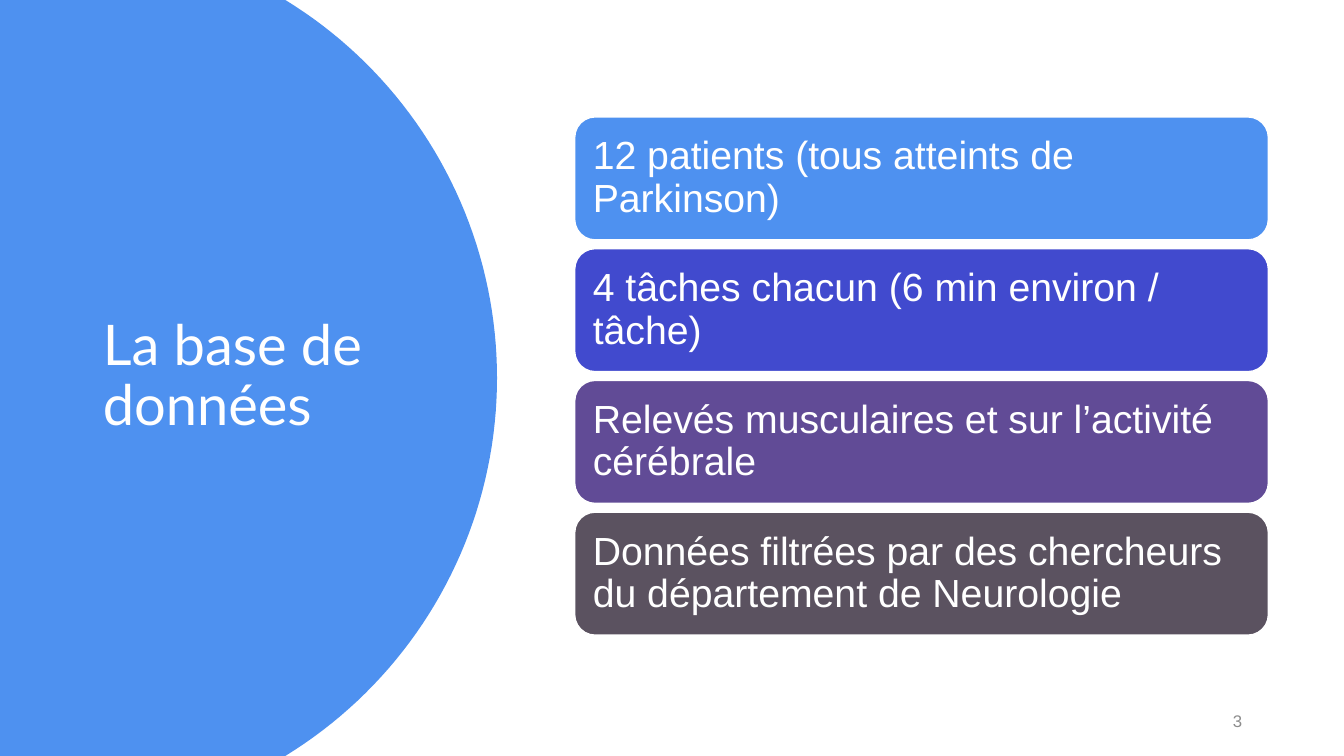
from dataclasses import dataclass
from math import asin, cos, sin

from pptx import Presentation
from pptx.dml.color import RGBColor
from pptx.enum.shapes import MSO_SHAPE
from pptx.enum.text import MSO_ANCHOR, MSO_AUTO_SIZE, PP_ALIGN
from pptx.util import Inches, Pt


@dataclass(frozen=True)
class Theme:
    """Colours, fonts and type sizes of the slide."""
    white: str = "FFFFFF"
    blue: str = "4E91F0"
    indigo: str = "414ACE"
    violet: str = "614B96"
    slate: str = "5B5260"
    grey: str = "8C8C8C"
    title_font: str = "Lato"
    body_font: str = "Arial"
    title_size: int = 40
    card_size: int = 28
    number_size: int = 12


THEME = Theme()
SLIDE_WIDTH, SLIDE_HEIGHT = 13.33, 7.5
DISC_RIGHT, DISC_TOP_EDGE = 4.93, 2.83
ARC_STEPS = 80
CARD_LEFT, CARD_TOP, CARD_WIDTH, CARD_HEIGHT = 5.7, 1.16, 6.88, 1.22
CARD_PITCH = 1.307
CARDS = (
    ("12 patients (tous atteints de Parkinson)", THEME.blue),
    ("4 tâches chacun (6 min environ / tâche)", THEME.indigo),
    ("Relevés musculaires et sur l’activité cérébrale", THEME.violet),
    ("Données filtrées par des chercheurs du département de Neurologie", THEME.slate),
)


def apply_format(target, values):
    """Set every attribute named in values on target."""
    for name, value in values.items():
        setattr(target, name, value)


def paint(shape, colour):
    """Give a shape a plain fill without shadow."""
    shape.shadow.inherit = False
    shape.fill.solid()
    shape.fill.fore_color.rgb = RGBColor.from_string(colour)


def write(shape, wording, font, size, colour, inset=None, align=PP_ALIGN.LEFT, spacing=0.9):
    """Write one vertically centred paragraph into a shape."""
    frame = shape.text_frame
    frame.text = wording
    apply_format(frame, {
        "word_wrap": True,
        "auto_size": MSO_AUTO_SIZE.NONE,
        "vertical_anchor": MSO_ANCHOR.MIDDLE,
    })
    if inset is not None:
        sides = ("left", "top", "right", "bottom")
        apply_format(frame, {f"margin_{side}": Inches(inset) for side in sides})
    paragraph = frame.paragraphs[0]
    apply_format(paragraph, {"alignment": align, "line_spacing": spacing, "space_before": Pt(0)})
    apply_format(paragraph.font, {"name": font, "size": Pt(size)})
    paragraph.font.color.rgb = RGBColor.from_string(colour)


def add_disc(slide):
    """Draw the blue disc cut off by the left, top and bottom slide edges."""
    half = SLIDE_HEIGHT / 2
    depth = DISC_RIGHT - DISC_TOP_EDGE
    radius = (depth ** 2 + half ** 2) / (2 * depth)
    centre = DISC_RIGHT - radius
    sweep = asin(half / radius)
    angles = [sweep * (2 * step / ARC_STEPS - 1) for step in range(ARC_STEPS + 1)]
    arc = [(Inches(centre + radius * cos(angle)), Inches(half + radius * sin(angle)))
           for angle in angles]
    outline = slide.shapes.build_freeform(0, 0)
    outline.add_line_segments(arc + [(0, Inches(SLIDE_HEIGHT))], close=True)
    disc = outline.convert_to_shape()
    paint(disc, THEME.blue)
    disc.line.fill.background()


def add_title(slide, wording):
    """Place the title over the disc."""
    title = slide.shapes.title
    apply_format(title, {
        "left": Inches(0.92), "top": Inches(0.7),
        "width": Inches(3.23), "height": Inches(6.09),
    })
    write(title, wording, THEME.title_font, THEME.title_size, THEME.white)


def add_card(slide, row, wording, colour):
    """Add one rounded card in the given row of the stack."""
    card = slide.shapes.add_shape(
        MSO_SHAPE.ROUNDED_RECTANGLE,
        Inches(CARD_LEFT), Inches(CARD_TOP + row * CARD_PITCH),
        Inches(CARD_WIDTH), Inches(CARD_HEIGHT))
    paint(card, colour)
    card.line.color.rgb = RGBColor.from_string(THEME.white)
    card.line.width = Pt(1)
    write(card, wording, THEME.body_font, THEME.card_size, THEME.white, inset=0.12)


def add_slide_number(slide, number):
    """Add the slide number at the lower right."""
    box = slide.shapes.add_textbox(Inches(9.42), Inches(6.95), Inches(3), Inches(0.4))
    write(box, number, THEME.body_font, THEME.number_size, THEME.grey,
          align=PP_ALIGN.RIGHT, spacing=1.0)


def main():
    """Build and save the slide."""
    deck = Presentation()
    apply_format(deck, {
        "slide_width": Inches(SLIDE_WIDTH), "slide_height": Inches(SLIDE_HEIGHT),
    })
    slide = deck.slides.add_slide(deck.slide_layouts.get_by_name("Title Only"))
    add_disc(slide)
    title_element = slide.shapes.title.element
    title_element.getparent().append(title_element)
    add_title(slide, "La base de données")
    for row, (wording, colour) in enumerate(CARDS):
        add_card(slide, row, wording, colour)
    add_slide_number(slide, "3")
    deck.save("out.pptx")


if __name__ == "__main__":
    main()
